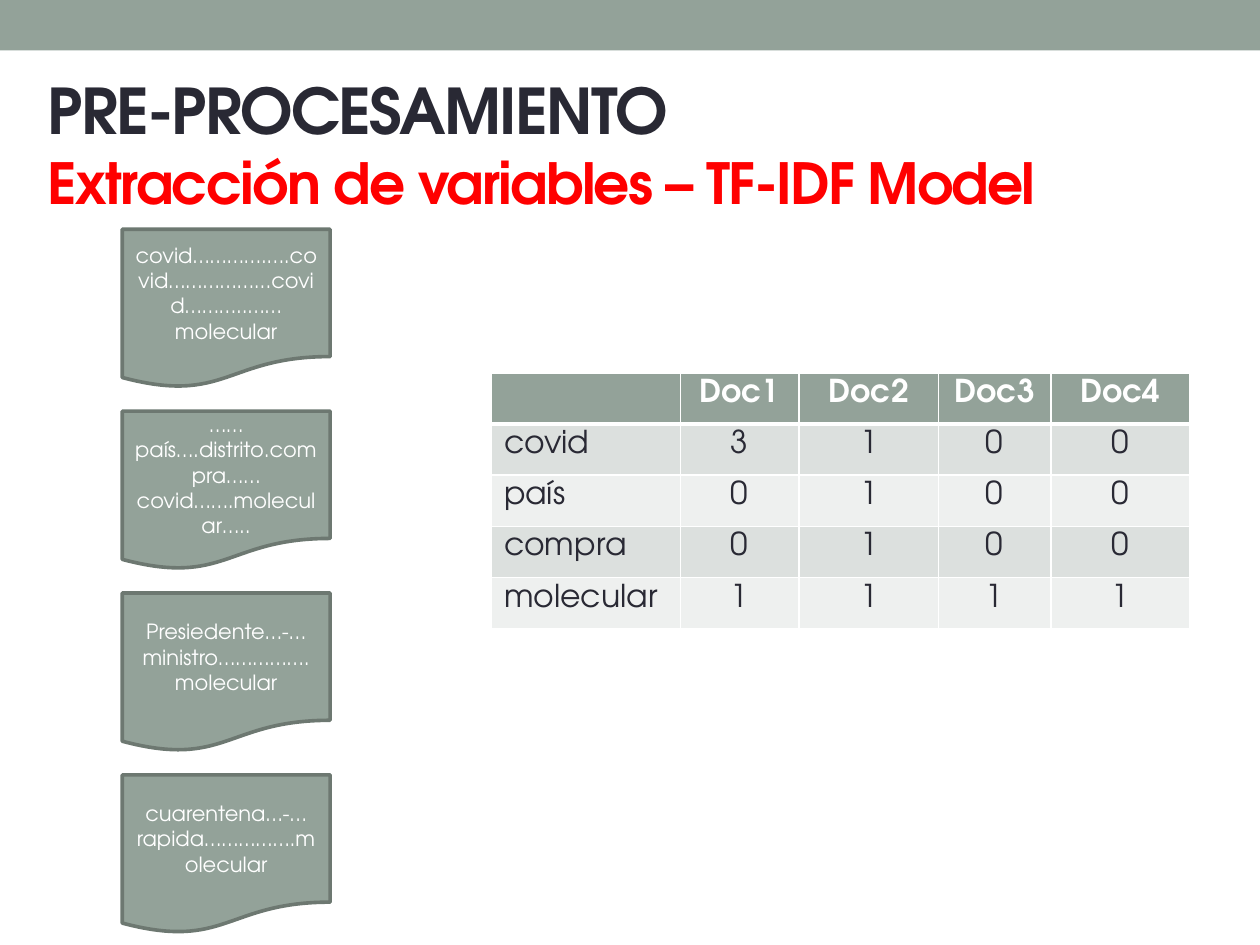
from lxml.etree import SubElement as Sub
from pptx import Presentation
from pptx.dml.color import RGBColor as Rgb
from pptx.enum.shapes import MSO_SHAPE as Kind
from pptx.enum.text import MSO_ANCHOR as Anchor, MSO_AUTO_SIZE as Fit, PP_ALIGN as Align
from pptx.oxml.ns import qn
from pptx.util import Inches, Pt

FONT = "TeX Gyre Adventor"
HUE = {"sage": "93A299", "edge": "6D7871", "ink": "292934", "red": "FF0000",
       "white": "FFFFFF", "dark": "DCE0DE", "pale": "EEF0EF"}
UNIT = Inches(0.1)  # the slide is a grid of 100 columns by 75 rows
COLS, ROWS = 100, 75

DOCS = ["covid………….….covid……………...covid………..……molecular",
        "……país….distrito.compra……covid…….molecular…..",
        "Presiedente…-…ministro…………….molecular",
        "cuarentena…-…rapida…………….molecular"]
COUNTS = [["", "Doc1", "Doc2", "Doc3", "Doc4"],
          ["covid", "3", "1", "0", "0"],
          ["país", "0", "1", "0", "0"],
          ["compra", "0", "1", "0", "0"],
          ["molecular", "1", "1", "1", "1"]]
SHARES = [15, 9.4, 11.1, 8.9, 11]  # relative column widths


def grid(*box):
    return [round(n * UNIT) for n in box]


def tint(part, hue):
    part.fill.solid()
    part.fill.fore_color.rgb = Rgb.from_string(HUE[hue])


def write(para, text, size, hue, bold=False):
    run = para.add_run()
    run.text = text
    font = run.font
    font.name, font.size, font.bold = FONT, Pt(size), bold
    font.color.rgb = Rgb.from_string(HUE[hue])
    return run


def block(slide, kind, box, hue):
    shape = slide.shapes.add_shape(kind, *grid(*box))
    shape.shadow.inherit = False
    tint(shape, hue)
    shape.line.fill.background()
    return shape


def add_title(slide, box):
    title = slide.shapes.title
    title.left, title.top, title.width, title.height = grid(*box)
    frame = title.text_frame
    frame.word_wrap, frame.auto_size = True, Fit.NONE
    frame.vertical_anchor = Anchor.MIDDLE
    para = frame.paragraphs[0]
    para.alignment = Align.LEFT
    head = write(para, "PRE-PROCESAMIENTO", 36, "ink", True)
    para.add_line_break()
    sub = write(para, "Extracción de variables – TF-IDF Model", 32.4, "red", True)
    for run in (head, sub):
        run.font._element.set("spc", "-100")


def add_docs(slide, box):
    left, top, width, height = box
    tall = 12.6
    step = (height - tall) / (len(DOCS) - 1)
    for i, text in enumerate(DOCS):
        doc = block(slide, Kind.FLOWCHART_DOCUMENT,
                    (left, top + i * step, width, tall), "sage")
        doc.line.color.rgb = Rgb.from_string(HUE["edge"])
        doc.line.width = Pt(2.08)
        frame = doc.text_frame
        frame.word_wrap, frame.vertical_anchor = True, Anchor.MIDDLE
        para = frame.paragraphs[0]
        para.alignment = Align.CENTER
        write(para, text, 12, "white")


def rule(cell, side, width):
    line = Sub(cell._tc.get_or_add_tcPr(), qn("a:ln" + side), w=str(Pt(width)))
    fill = Sub(line, qn("a:solidFill"))
    Sub(fill, qn("a:srgbClr"), val=HUE["white"])


def add_counts(slide, box):
    width, height = box[2:]
    table = slide.shapes.add_table(len(COUNTS), len(SHARES), *grid(*box)).table
    for col, share in zip(table.columns, SHARES):
        col.width = round(width * share / sum(SHARES) * UNIT)
    for r, row in enumerate(COUNTS):
        table.rows[r].height = round(height / len(COUNTS) * UNIT)
        for c, text in enumerate(row):
            cell = table.cell(r, c)
            for side in "LRTB":
                thick = (r, side) in ((0, "B"), (1, "T"))
                rule(cell, side, 3 if thick else 1)
            tint(cell, "sage" if r == 0 else "dark" if r % 2 else "pale")
            para = cell.text_frame.paragraphs[0]
            para.alignment = Align.CENTER if c else Align.LEFT
            if text:
                write(para, text, 18, "ink" if r else "white", r == 0)


def main():
    deck = Presentation()
    deck.slide_width, deck.slide_height = grid(COLS, ROWS)
    slide = deck.slides.add_slide(deck.slide_layouts[5])
    # Top band
    block(slide, Kind.RECTANGLE, (0, 0, COLS, 4), "sage")
    # Heading
    add_title(slide, (2.8, 6, 95.3, 10.8))
    # Column of documents
    add_docs(slide, (9.7, 18.2, 16.5, 55.9))
    # Word counts by document
    add_counts(slide, (39, 29.6, 55.4, 20.3))
    deck.save("out.pptx")


if __name__ == "__main__":
    main()
